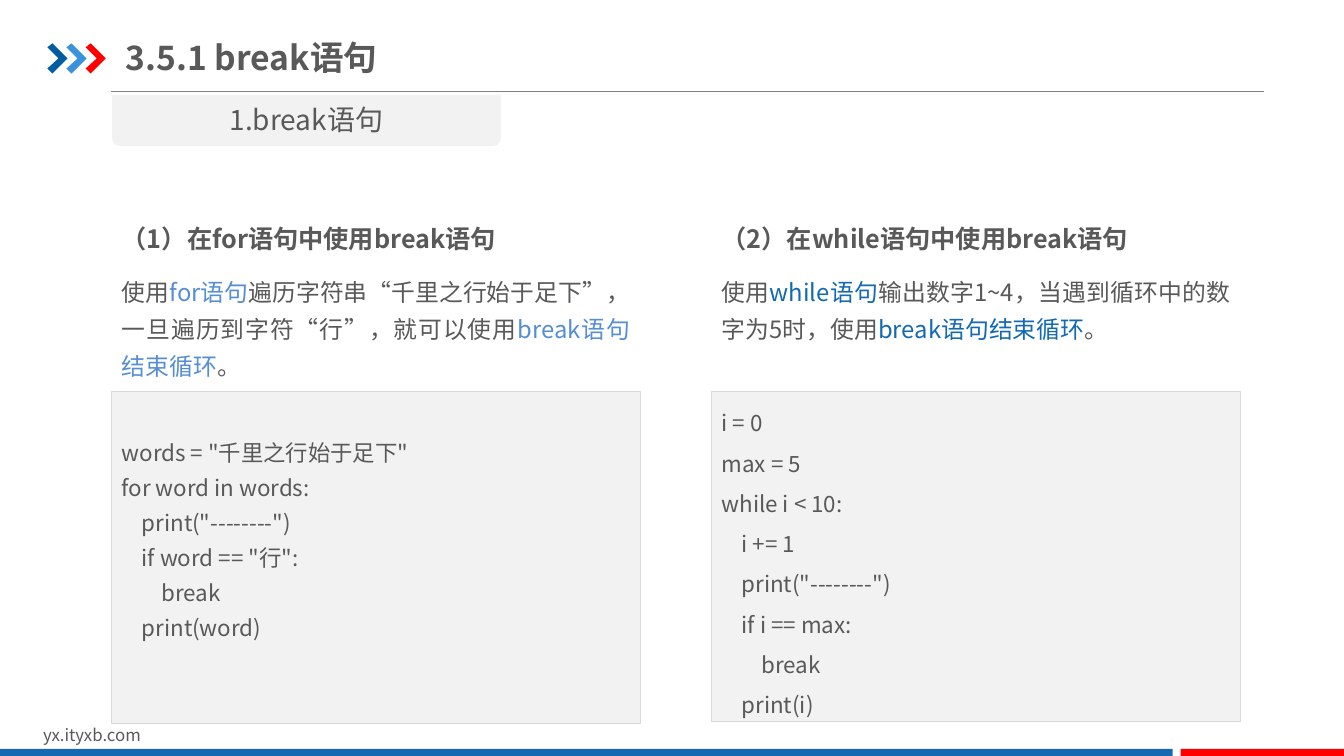
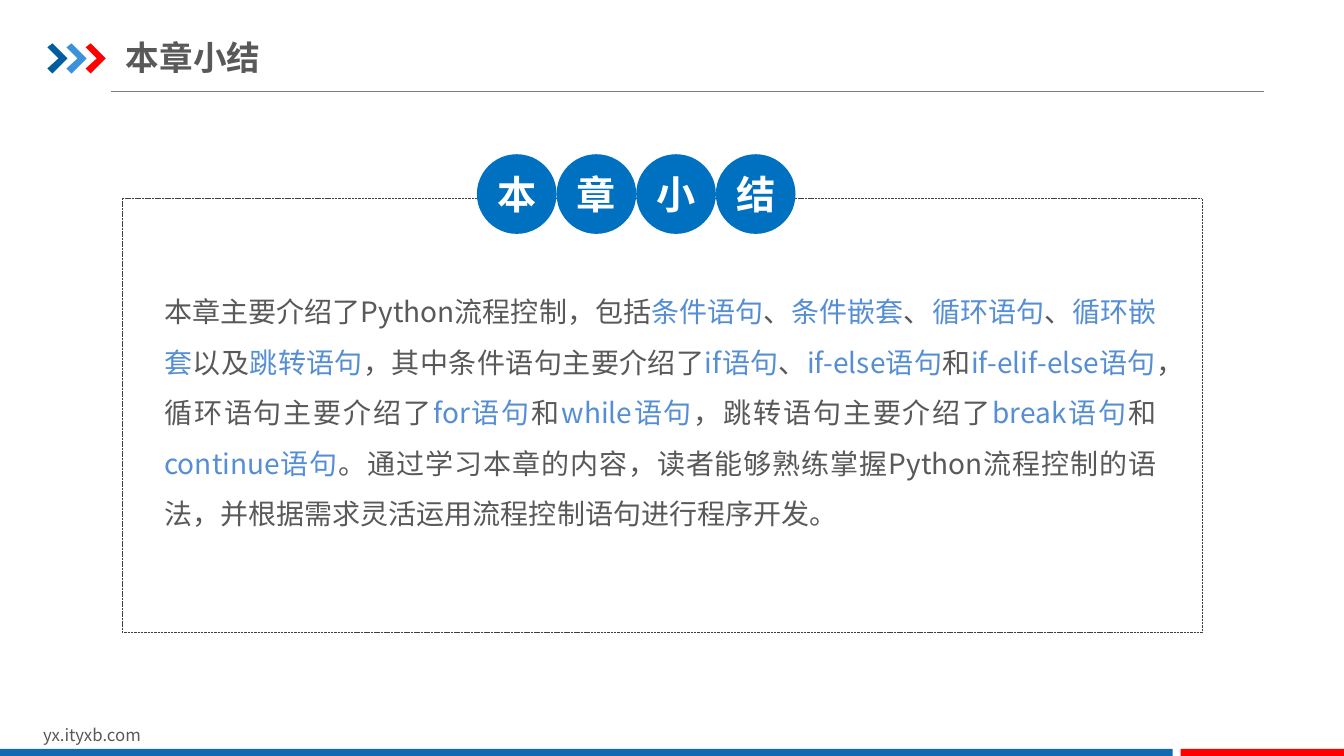
from lxml.etree import SubElement
from pptx import Presentation
from pptx.dml.color import RGBColor
from pptx.enum.dml import MSO_LINE
from pptx.enum.shapes import MSO_CONNECTOR, MSO_SHAPE
from pptx.enum.text import MSO_ANCHOR, PP_ALIGN
from pptx.oxml.ns import qn
from pptx.util import Inches, Pt

FONT = "Noto Sans CJK SC"
COLORS = {
    "text": "595959",
    "white": "FFFFFF",
    "band": "1369B2",
    "red": "FF0000",
    "navy": "005DA2",
    "sky": "3992DB",
    "accent": "558ED5",
    "circle": "0070C0",
    "panel": "F2F2F2",
    "panel_edge": "D9D9D9",
    "rule": "808080",
    "frame": "404040",
}
CHEVRON = [(0, 0.04), (0.05, 0), (0.2, 0.15), (0.05, 0.3), (0, 0.25), (0.11, 0.15)]

FOR_CODE = """words = "千里之行始于足下"
for word in words:
    print("--------")
    if word == "行":
        break
    print(word)"""

WHILE_CODE = """i = 0
max = 5
while i < 10:
    i += 1
    print("--------")
    if i == max:
        break
    print(i)"""

SUMMARY = (
    "本章主要介绍了Python流程控制，包括|条件语句|、|条件嵌套|、|循环语句|、|循环嵌套|"
    "以及|跳转语句|，其中条件语句主要介绍了|if语句|、|if-else语句|和|if-elif-else语句|"
    "，循环语句主要介绍了|for语句|和|while语句|，跳转语句主要介绍了|break语句|和|continue语句|"
    "。通过学习本章的内容，读者能够熟练掌握Python流程控制的语法，"
    "并根据需求灵活运用流程控制语句进行程序开发。"
)


def rgb(name):
    """Return the named colour."""
    return RGBColor.from_string(COLORS[name])


def write(shape, text, size, color="text", accent="accent", bold=False, align=PP_ALIGN.LEFT,
          anchor=MSO_ANCHOR.TOP, spacing=1.0, insets=(0.1, 0.05, 0.1, 0.05)):
    """Fill a shape with one paragraph a line; bars enclose accented words."""
    frame = shape.text_frame
    frame.word_wrap = True
    frame.vertical_anchor = anchor
    frame.margin_left, frame.margin_top, frame.margin_right, frame.margin_bottom = map(Inches, insets)
    for number, line in enumerate(text.split("\n")):
        para = frame.add_paragraph() if number else frame.paragraphs[0]
        para.alignment = align
        para.line_spacing = spacing
        for index, words in enumerate(line.split("|")):
            span = para.add_run()
            span.text = words
            span.font.name = FONT
            span.font.size = Pt(size)
            span.font.bold = bold
            span.font.color.rgb = rgb(accent if index % 2 else color)
            SubElement(span.font._element, qn("a:ea"), typeface=FONT)


def add_text(page, box, text, size, **style):
    """Add a text box."""
    write(page.shapes.add_textbox(*map(Inches, box)), text, size, **style)


def paint(shape, fill=None, edge=None, width=0.75):
    """Set the fill and outline of a shape and drop its shadow."""
    shape.shadow.inherit = False
    if fill:
        shape.fill.solid()
        shape.fill.fore_color.rgb = rgb(fill)
    else:
        shape.fill.background()
    if edge:
        shape.line.color.rgb = rgb(edge)
        shape.line.width = Pt(width)
    else:
        shape.line.fill.background()


def add_box(page, kind, box, **look):
    """Add a painted preset shape."""
    shape = page.shapes.add_shape(kind, *map(Inches, box))
    paint(shape, **look)
    return shape


def add_chevrons(page, left, top, step=0.19):
    """Draw the three arrows beside the title."""
    for index, color in enumerate(("navy", "sky", "red")):
        points = [(Inches(left + index * step + x), Inches(top + y)) for x, y in CHEVRON]
        builder = page.shapes.build_freeform(*points[0])
        builder.add_line_segments(points[1:], close=True)
        paint(builder.convert_to_shape(), fill=color)


def add_page(deck, title):
    """Add a page with the shared title, rule and footer."""
    page = deck.slides.add_slide(deck.slide_layouts[6])
    rule = page.shapes.add_connector(
        MSO_CONNECTOR.STRAIGHT, Inches(1.1), Inches(0.91), Inches(12.54), Inches(0.91))
    rule.line.color.rgb = rgb("rule")
    rule.line.width = Pt(0.75)
    SubElement(rule._element.spPr, qn("a:effectLst"))
    add_chevrons(page, 0.47, 0.43)
    add_text(page, (0.33, 7.14, 3.18, 0.3), "yx.ityxb.com", 12)
    add_box(page, MSO_SHAPE.RECTANGLE, (0, 7.43, 11.63, 0.09), fill="band")
    add_box(page, MSO_SHAPE.RECTANGLE, (11.71, 7.43, 1.63, 0.09), fill="red")
    add_text(page, (1.25, 0.29, 6.2, 0.55), title, 24, bold=True,
             anchor=MSO_ANCHOR.MIDDLE, insets=(0, 0.07, 0, 0.07))
    return page


def add_tab(page, box, text):
    """Draw the section tab hanging below the title rule."""
    left, top, width, height = box
    add_box(page, MSO_SHAPE.ROUND_2_SAME_RECTANGLE, box, fill="panel").rotation = 180
    add_text(page, (left, top + 0.03, width, height - 0.07), text, 20, align=PP_ALIGN.CENTER)


def add_example(page, box, heading, intro, code, accent, spacing, code_top):
    """Stack a heading, an introduction and a code panel in a column."""
    left, top, width, height = box
    add_text(page, (left, top, width, 0.56), heading, 18, bold=True,
             align=PP_ALIGN.JUSTIFY, spacing=1.5)
    add_text(page, (left, top + 0.6, width, 1.21), intro, 17, accent=accent,
             align=PP_ALIGN.JUSTIFY, spacing=1.3)
    panel = add_box(page, MSO_SHAPE.RECTANGLE, (left, top + 1.86, width, height - 1.86),
                    fill="panel", edge="panel_edge")
    write(panel, code, 16, spacing=spacing, insets=(0.1, code_top, 0.1, 0.05))


def add_summary(page, box, heading, text):
    """Draw a dashed frame with a row of heading circles on its top edge."""
    left, top, width, height = box
    frame = add_box(page, MSO_SHAPE.RECTANGLE, box, edge="frame", width=0.25)
    frame.line.dash_style = MSO_LINE.SQUARE_DOT
    add_text(page, (left + 0.42, top + 0.79, width - 0.87, 2.52), text, 20,
             align=PP_ALIGN.JUSTIFY, spacing=1.5, insets=(0, 0, 0, 0))
    size = 0.79
    for index, letter in enumerate(heading):
        circle = add_box(page, MSO_SHAPE.OVAL,
                         (left + 3.52 + index * size, top - 0.44, size, size), fill="circle")
        write(circle, letter, 28, color="white", bold=True, align=PP_ALIGN.CENTER,
              anchor=MSO_ANCHOR.MIDDLE, insets=(0, 0, 0, 0))


def build_break_page(deck):
    """Compare break in the two kinds of loop."""
    page = add_page(deck, "3.5.1 break语句")
    add_tab(page, (1.11, 0.94, 3.86, 0.51), "1.break语句")
    add_example(
        page, (1.11, 2.02, 5.24, 5.16), "（1）在for语句中使用break语句",
        "使用|for语句|遍历字符串“千里之行始于足下”，一旦遍历到字符“行”，就可以使用|break语句结束循环|。",
        FOR_CODE, accent="accent", spacing=1.3, code_top=0.4)
    add_example(
        page, (7.06, 2.02, 5.24, 5.14), "（2）在while语句中使用break语句",
        "使用|while语句|输出数字1~4，当遇到循环中的数字为5时，使用|break语句结束循环|。",
        WHILE_CODE, accent="band", spacing=1.5, code_top=0.05)


def build_summary_page(deck):
    """Sum up the chapter."""
    page = add_page(deck, "本章小结")
    add_summary(page, (1.21, 1.97, 10.71, 4.3), "本章小结", SUMMARY)


def main():
    """Build and save the deck."""
    deck = Presentation()
    deck.slide_width, deck.slide_height = Inches(13.33), Inches(7.5)
    build_break_page(deck)
    build_summary_page(deck)
    deck.save("out.pptx")


if __name__ == "__main__":
    main()
